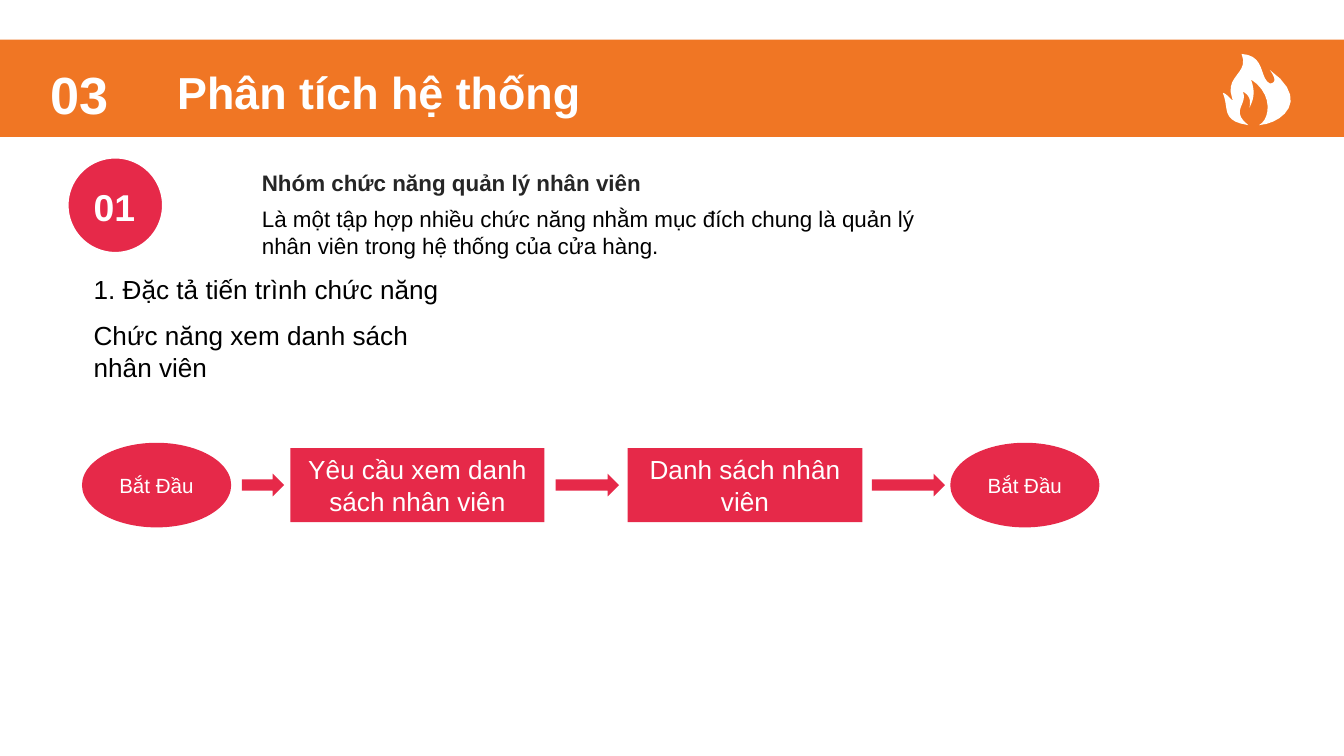
from pptx import Presentation
from pptx.dml.color import RGBColor
from pptx.enum.shapes import MSO_SHAPE
from pptx.enum.text import MSO_ANCHOR, PP_ALIGN
from pptx.util import Cm, Pt

COLORS = {"orange": "F07624", "red": "E62949", "white": "FFFFFF",
          "dark": "262626", "black": "000000"}

# Content: text, (left, top, width, height) in cm, size, colour, bold
TEXTS = [
    ("Nhóm chức năng quản lý nhân viên", (4.7, 3.07, 13.59, 0.76), 12, "dark", True),
    ("Là một tập hợp nhiều chức năng nhằm mục đích chung là quản lý "
     "nhân viên trong hệ thống của cửa hàng.", (4.7, 3.76, 13.59, 1.27), 12, "black", False),
    ("Phân tích hệ thống", (3.1, 1.09, 13.61, 1.27), 24, "white", True),
    ("1. Đặc tả tiến trình chức năng", (1.52, 5.05, 15.98, 0.86), 14, "black", False),
    ("Chức năng xem danh sách nhân viên", (1.52, 5.92, 6.78, 1.45), 14, "black", False),
]
NUMBERS = [
    ("03", (0.71, 1.17, 1.68, 1.19), 28),
    ("01", (1.52, 3.48, 1.3, 0.86), 20),
]

# Flow steps: text, shape, left, width, height, size
FLOW_Y = 9.17
STEPS = [
    ("Bắt Đầu", MSO_SHAPE.OVAL, 1.55, 2.82, 1.6, 11),
    ("Yêu cầu xem danh sách nhân viên", MSO_SHAPE.RECTANGLE, 5.49, 4.8, 1.4, 14),
    ("Danh sách nhân viên", MSO_SHAPE.RECTANGLE, 11.86, 4.44, 1.4, 14),
    ("Bắt Đầu", MSO_SHAPE.OVAL, 17.96, 2.82, 1.6, 11),
]
ARROWS = [(4.57, 0.8), (10.5, 1.2), (16.48, 1.38)]  # left, width
ARROW_H = 0.43

# Flame outline: start point, then Bezier segments on a 51 x 53 grid
FLAME_AT, FLAME_UNIT = (23.11, 1.02), 0.0254
FLAME_START = (19, 53)
FLAME = [
    ((-2, 50), (5, 40), (0, 29)), ((3, 29), (9, 38), (7, 33)),
    ((1, 16), (20, 15), (14, 0)), ((32, 1), (27, 18), (35, 22)),
    ((38, 22), (41, 20), (35, 12)), ((66, 34), (44, 52), (27, 53)),
    ((35, 49), (38, 30), (21, 19)), ((25, 30), (22, 35), (20, 40)),
    ((20, 37), (22, 32), (15, 28)), ((19, 38), (5, 42), (19, 53)),
]


def color(name):
    return RGBColor.from_string(COLORS[name])


def paint(sp, fill, line=None):
    sp.shadow.inherit = False
    sp.fill.solid()
    sp.fill.fore_color.rgb = color(fill)
    if line:
        sp.line.color.rgb = color(line)
        sp.line.width = Pt(1)
    else:
        sp.line.fill.background()


def add_shape(kind, box, fill, line=None):
    sp = s.shapes.add_shape(kind, *map(Cm, box))
    paint(sp, fill, line)
    return sp


def write(sp, text, size, name, bold=False, align=PP_ALIGN.LEFT):
    tf = sp.text_frame
    tf.text = text
    tf.word_wrap = True
    p = tf.paragraphs[0]
    p.alignment = align
    font = p.runs[0].font
    font.name, font.size, font.bold = "Arial", Pt(size), bold
    font.color.rgb = color(name)
    return tf


def flame_points(steps=10):
    start = FLAME_START
    for c1, c2, end in FLAME:
        for i in range(1, steps + 1):
            t = i / steps
            u = 1 - t
            yield tuple(u**3 * a + 3 * u * u * t * b + 3 * u * t * t * c + t**3 * d
                        for a, b, c, d in zip(start, c1, c2, end))
        start = end


def flame_emu(point):
    return tuple(Cm(o + v * FLAME_UNIT) for o, v in zip(FLAME_AT, point))


prs = Presentation()
prs.slide_width, prs.slide_height = Cm(25.4), Cm(14.29)
s = prs.slides.add_slide(prs.slide_layouts[6])

# Title band, flame and number badge
add_shape(MSO_SHAPE.RECTANGLE, (0, 0.75, 25.4, 1.84), "orange")
fb = s.shapes.build_freeform(*flame_emu(FLAME_START))
fb.add_line_segments([flame_emu(pt) for pt in flame_points()], close=True)
paint(fb.convert_to_shape(), "white")
add_shape(MSO_SHAPE.OVAL, (1.28, 2.98, 1.8, 1.8), "red", "white")

# Texts and numbers
for text, box, size, name, bold in TEXTS:
    write(s.shapes.add_textbox(*map(Cm, box)), text, size, name, bold)
for text, box, size in NUMBERS:
    tf = write(s.shapes.add_textbox(*map(Cm, box)), text, size, "white", True)
    tf.word_wrap = False
    tf.vertical_anchor = MSO_ANCHOR.MIDDLE
    tf.margin_top = tf.margin_bottom = 0

# Process flow, centred on one line
for text, kind, left, width, height, size in STEPS:
    sp = add_shape(kind, (left, FLOW_Y - height / 2, width, height), "red")
    tf = write(sp, text, size, "white", align=PP_ALIGN.CENTER)
    tf.vertical_anchor = MSO_ANCHOR.MIDDLE
for left, width in ARROWS:
    add_shape(MSO_SHAPE.RIGHT_ARROW, (left, FLOW_Y - ARROW_H / 2, width, ARROW_H), "red")

prs.save("out.pptx")
